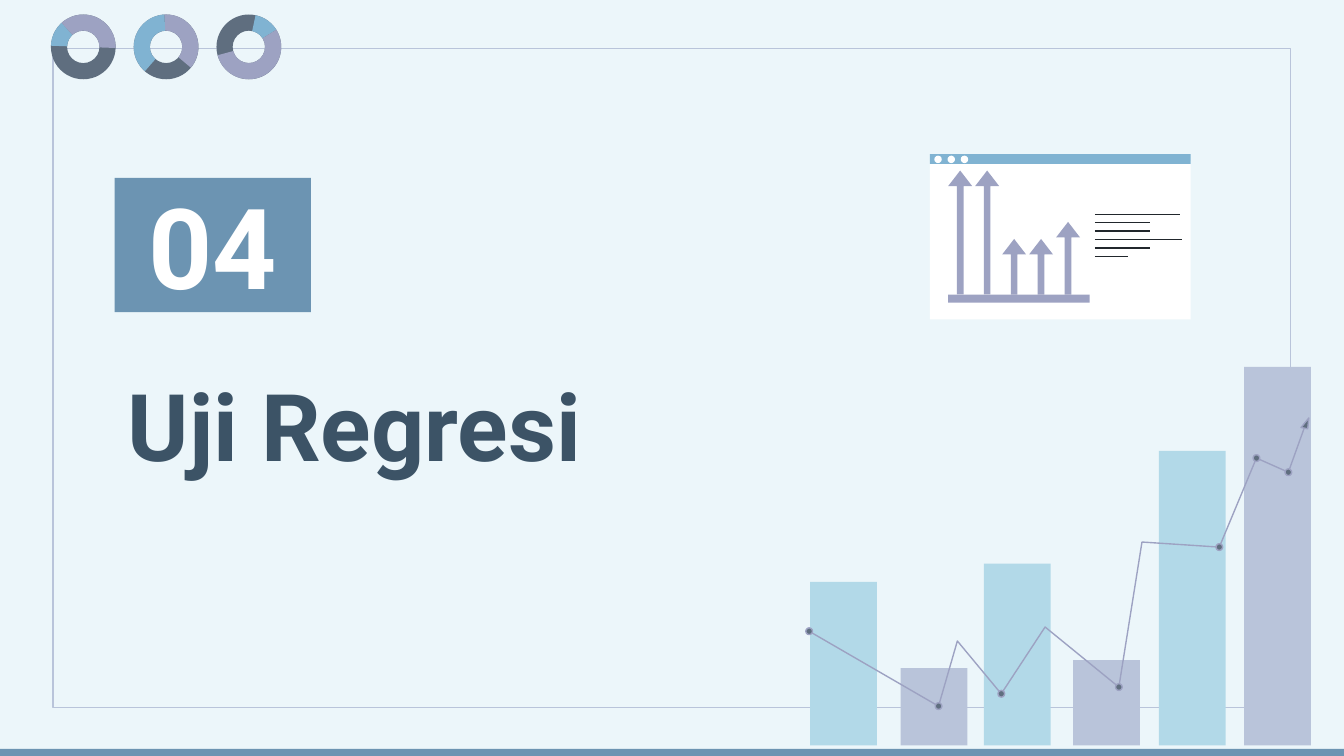
from lxml.etree import SubElement
from pptx import Presentation
from pptx.dml.color import RGBColor
from pptx.enum.shapes import MSO_CONNECTOR, MSO_SHAPE
from pptx.enum.text import MSO_ANCHOR, MSO_AUTO_SIZE, PP_ALIGN
from pptx.oxml.ns import qn
from pptx.util import Pt

PALE = RGBColor(0xEC, 0xF6, 0xFA)
WHITE = RGBColor(0xFF, 0xFF, 0xFF)
STEEL = RGBColor(0x6C, 0x94, 0xB2)
SKY = RGBColor(0x80, 0xB3, 0xD2)
AQUA = RGBColor(0xB2, 0xD9, 0xE8)
LILAC = RGBColor(0xB9, 0xC4, 0xDA)
MAUVE = RGBColor(0x9D, 0xA2, 0xC2)
SLATE = RGBColor(0x5F, 0x6E, 0x7F)
NAVY = RGBColor(0x3C, 0x53, 0x66)
INK = RGBColor(0x21, 0x27, 0x2C)


def paint(sp, fill=None, line=None):
    """Set fill and line of a shape and drop its shadow."""
    sp.shadow.inherit = False
    if fill is None:
        sp.fill.background()
    else:
        sp.fill.solid()
        sp.fill.fore_color.rgb = fill
    if line is None:
        sp.line.fill.background()
    else:
        sp.line.color.rgb = line
        sp.line.width = Pt(0.75)
    return sp


def add_preset(s, kind, box, fill=None, line=None, adj=()):
    """Add a preset shape at a (left, top, width, height) box."""
    sp = s.shapes.add_shape(kind, *map(Pt, box))
    for i, value in enumerate(adj):
        sp.adjustments[i] = value
    return paint(sp, fill, line)


def add_path(s, points, fill=None, line=None, close=False):
    """Add a freeform through the given points."""
    pts = [(Pt(x), Pt(y)) for x, y in points]
    builder = s.shapes.build_freeform(*pts[0], scale=1.0)
    builder.add_line_segments(pts[1:], close=close)
    return paint(builder.convert_to_shape(), fill, line)


def add_rule(s, x, y, width):
    """Add a thin horizontal line."""
    ln = s.shapes.add_connector(MSO_CONNECTOR.STRAIGHT, Pt(x), Pt(y), Pt(x + width), Pt(y))
    ln.line.color.rgb = INK
    ln.line.width = Pt(0.6)
    SubElement(ln._element.spPr, qn("a:effectLst"))


def write(sp, text, size, color, align, anchor):
    """Put one bold line of text into a shape."""
    tf = sp.text_frame
    frame = {"word_wrap": True, "auto_size": MSO_AUTO_SIZE.NONE, "vertical_anchor": anchor}
    for side in ("left", "top", "right", "bottom"):
        frame[f"margin_{side}"] = Pt(7.2)
    for name, value in frame.items():
        setattr(tf, name, value)
    p = tf.paragraphs[0]
    p.alignment = align
    r = p.add_run()
    r.text = text
    for name, value in {"name": "Roboto", "size": Pt(size), "bold": True}.items():
        setattr(r.font, name, value)
    r.font.color.rgb = color


def add_rings(s):
    """Add three rings, each with two coloured arcs given in degrees."""
    rings = [
        [(SKY, 182, 228), (MAUVE, 228, 2)],
        [(MAUVE, 267, 40), (SKY, 131, 267)],
        [(SKY, 282, 328), (MAUVE, 328, 165)],
    ]
    for i, arcs in enumerate(rings):
        box = (27.3 + 44.35 * i, 7.8, 34.7, 34.7)
        add_preset(s, MSO_SHAPE.DONUT, box, SLATE, adj=[0.25])
        for color, start, end in arcs:
            add_preset(s, MSO_SHAPE.BLOCK_ARC, box, color, adj=[start * 0.6, end * 0.6, 0.25])


def add_window(s):
    """Add the browser window with arrow columns and text lines."""
    add_preset(s, MSO_SHAPE.RECTANGLE, (498.2, 86.4, 139.7, 84.7), WHITE)
    add_preset(s, MSO_SHAPE.RECTANGLE, (498.2, 82.6, 139.7, 5.2), SKY)
    for i in range(3):
        add_preset(s, MSO_SHAPE.OVAL, (500.5 + 7.1 * i, 83.4, 4, 4), WHITE)
    base = 157.8
    for i, top in enumerate([91.4, 91.4, 128, 128, 118.9]):
        add_preset(s, MSO_SHAPE.UP_ARROW, (508 + 14.45 * i, top, 12.8, base - top),
                   MAUVE, adj=[0.28, 0.65])
    add_preset(s, MSO_SHAPE.RECTANGLE, (508, base, 75.8, 4.4), MAUVE)
    for i, width in enumerate([45.6, 29.3, 29.3, 46.6, 29.3, 17.7]):
        add_rule(s, 586.6, 114.7 + 4.54 * i, width)


def add_bars(s):
    """Add the columns that stand on a shared base."""
    base = 399.4
    bars = [(434, 311.7, AQUA), (482.5, 358, LILAC), (527.1, 302, AQUA),
            (574.9, 353.7, LILAC), (620.8, 241.5, AQUA), (666.5, 196.6, LILAC)]
    for x, top, color in bars:
        add_preset(s, MSO_SHAPE.RECTANGLE, (x, top, 35.8, base - top), color)


def add_trend(s):
    """Add the trend line with its dots and arrow tip."""
    points = [(433.5, 338.2), (502.8, 378.3), (512.9, 343.4), (536.4, 371.7),
              (559.9, 335.9), (599.4, 368.1), (611.8, 290.4), (653.2, 293.1),
              (673.1, 245.4), (690.2, 253), (699.6, 226.8)]
    add_path(s, points, line=MAUVE)
    for i in (0, 1, 3, 5, 7, 8, 9):
        x, y = points[i]
        add_preset(s, MSO_SHAPE.OVAL, (x - 1.8, y - 1.8, 3.6, 3.6), SLATE, MAUVE)
    add_path(s, [(701.2, 223.9), (697, 229), (700.6, 229.7)], SLATE, MAUVE, close=True)


def main():
    """Build the section slide and save it."""
    prs = Presentation()
    prs.slide_width, prs.slide_height = Pt(720), Pt(405)
    s = prs.slides.add_slide(prs.slide_layouts[5])
    s.background.fill.solid()
    s.background.fill.fore_color.rgb = PALE

    add_preset(s, MSO_SHAPE.RECTANGLE, (0, 401.2, 720, 3.8), STEEL)
    add_preset(s, MSO_SHAPE.RECTANGLE, (28.5, 26, 663, 353), line=LILAC)
    add_rings(s)

    title = s.shapes.title
    box = {"left": 61.2, "top": 175.7, "width": 466.6, "height": 88.6}
    for name, value in box.items():
        setattr(title, name, Pt(value))
    write(title, "Uji Regresi", 50, NAVY, PP_ALIGN.LEFT, MSO_ANCHOR.BOTTOM)
    number = add_preset(s, MSO_SHAPE.RECTANGLE, (61.4, 95.3, 105.2, 72), STEEL)
    write(number, "04", 60, WHITE, PP_ALIGN.CENTER, MSO_ANCHOR.MIDDLE)

    add_bars(s)
    add_trend(s)
    add_window(s)
    prs.save("out.pptx")


if __name__ == "__main__":
    main()
